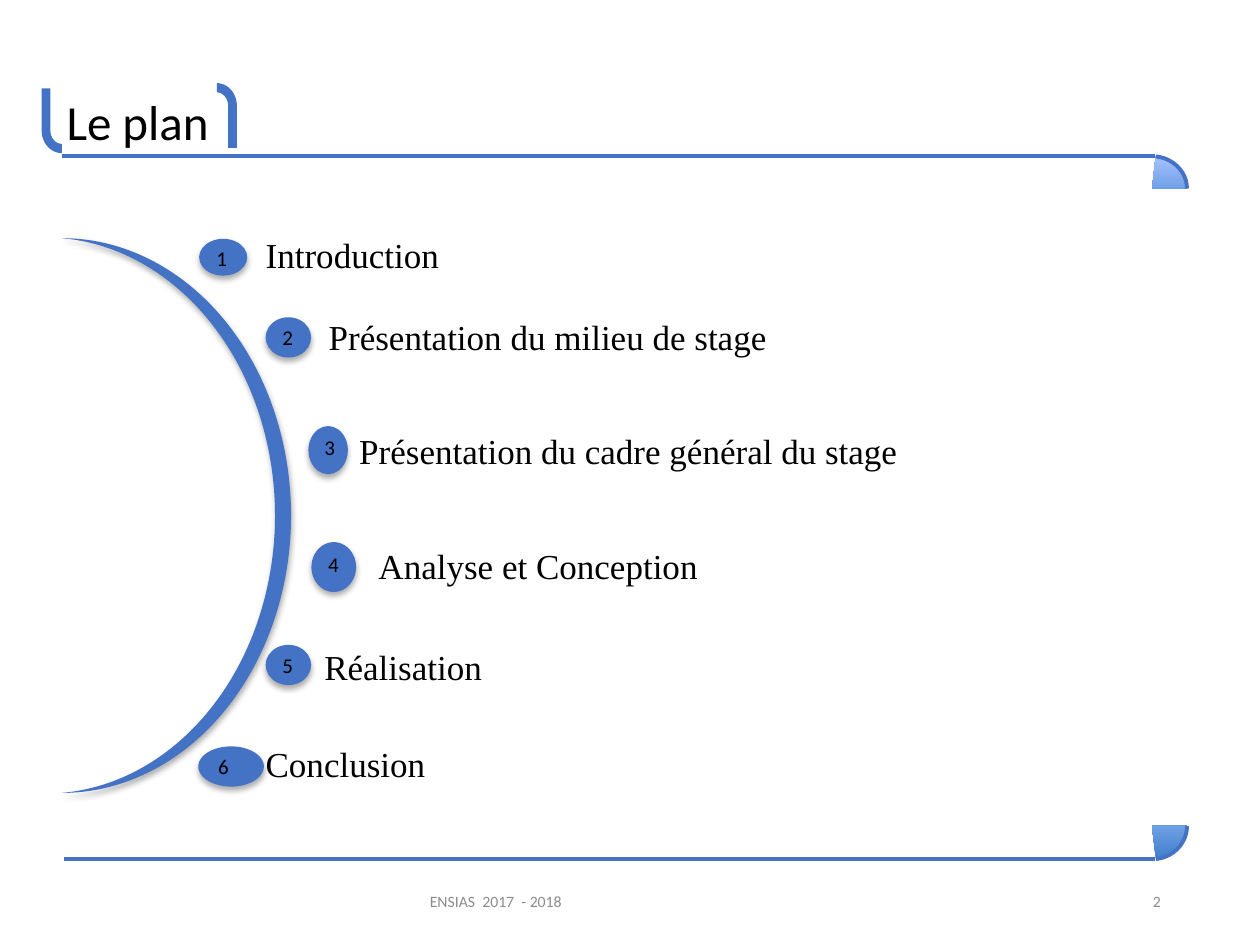
import math

from lxml import etree
from pptx import Presentation
from pptx.dml.color import RGBColor
from pptx.enum import shapes as kinds, text as styles
from pptx.oxml import ns
from pptx.util import Pt

COLORS = {"accent": "4472C4", "ink": "000000", "paper": "FFFFFF", "muted": "8C8C8C"}
ANCHOR = styles.MSO_ANCHOR
ALIGN = styles.PP_ALIGN

# label, (label left, top, width, height), (badge left, top, width, height)
CHAPTERS = [
    ("Introduction", (92, 0, 179, 36), (78.5, 9, 27.5, 21)),
    ("Présentation du milieu de stage", (128, 47, 315, 36), (116.5, 53.8, 26, 23)),
    ("Présentation du cadre général du stage", (145.5, 112, 399, 36), (141, 116, 22.5, 27.5)),
    ("Analyse et Conception", (156.5, 173.5, 243, 44.5), (142.7, 182.3, 25.5, 28.5)),
    ("Réalisation", (125.5, 235.5, 184, 36), (116.5, 241, 26, 23)),
    ("Conclusion", (92, 291, 258, 36), (78, 299, 37.5, 23)),
]


def color(name):
    return RGBColor.from_string(COLORS[name])


def write(holder, words, size, font, ink, margins, anchor=ANCHOR.MIDDLE, align=ALIGN.LEFT, wrap=True):
    frame = holder.text_frame
    frame.text = words
    frame.word_wrap = wrap
    frame.auto_size = styles.MSO_AUTO_SIZE.NONE
    frame.vertical_anchor = anchor
    frame.margin_left, frame.margin_top, frame.margin_right, frame.margin_bottom = map(Pt, margins)
    paragraph = frame.paragraphs[0]
    paragraph.alignment = align
    for run in paragraph.runs:
        run.font.size, run.font.name = Pt(size), font
        run.font.color.rgb = color(ink)


def paint(part, fill):
    part.fill.solid()
    part.fill.fore_color.rgb = color(fill)
    part.line.fill.background()
    part.shadow.inherit = False


def stroke(part):
    part.line.color.rgb = color("accent")
    part.line.width = Pt(2.25)


def add_part(slide, kind, box, fill):
    part = slide.shapes.add_shape(kind, *map(Pt, box))
    paint(part, fill)
    return part


def cast_shadow(part):
    effects = part._element.spPr.find(ns.qn("a:effectLst"))
    shadow = etree.SubElement(effects, ns.qn("a:outerShdw"), blurRad=str(Pt(3.5)),
                              dist=str(Pt(2.2)), dir="5400000", rotWithShape="0")
    tint = etree.SubElement(shadow, ns.qn("a:srgbClr"), val=COLORS["ink"])
    etree.SubElement(tint, ns.qn("a:alpha"), val="32000")


def add_bracket(slide, left, top, width, height, turned=False):
    def bend(radius_x, radius_y, degrees):
        return [(width - radius_x * math.cos(math.radians(d)),
                 height - 13 + radius_y * math.sin(math.radians(d))) for d in degrees]

    outline = [(0, 0), *bend(width, 13, range(0, 91, 6)),
               *bend(width - 5, 7.7, range(90, -1, -6)), (5, 0)]
    if turned:
        outline = [(width - x, height - y) for x, y in outline]
    points = [(Pt(left + x), Pt(top + y)) for x, y in outline]
    builder = slide.shapes.build_freeform(*points[0], scale=1.0)
    builder.add_line_segments(points[1:], close=True)
    paint(builder.convert_to_shape(), "accent")


def add_heading(slide, left, top, width, height):
    title = slide.shapes.title
    title.left, title.top, title.width, title.height = map(Pt, (left + 7, top + 1, 96.5, 41))
    write(title, "Le plan", 28, "Calibri", "ink", (7.2, 3.6, 7.2, 3.6), ANCHOR.TOP, wrap=False)
    add_bracket(slide, left, top + 3, 11.5, 37)
    add_bracket(slide, left + width - 11.5, top, 11.5, 37, turned=True)


def add_rule(slide, left, top, width, height, rule_y, angles):
    rule = slide.shapes.add_connector(kinds.MSO_CONNECTOR.STRAIGHT, Pt(left), Pt(rule_y),
                                      Pt(left + width - 18), Pt(rule_y))
    stroke(rule)
    etree.SubElement(rule._element.spPr, ns.qn("a:effectLst"))
    corner = slide.shapes.add_shape(kinds.MSO_SHAPE.ARC, Pt(left + width - 40), Pt(top),
                                    Pt(40), Pt(height))
    corner.adjustments[0], corner.adjustments[1] = angles
    stroke(corner)
    corner.shadow.inherit = False


def add_plan(slide, left, top):
    crescent = add_part(slide, kinds.MSO_SHAPE.MOON, (left, top + 8.6, 131, 317), "accent")
    crescent.rotation = 180
    crescent.adjustments[0] = 0.07
    cast_shadow(crescent)
    for number, (words, label_box, badge_box) in enumerate(CHAPTERS, 1):
        (x, y, *label_size), (badge_x, badge_y, *badge_size) = label_box, badge_box
        label = add_part(slide, kinds.MSO_SHAPE.RECTANGLE, (left + x, top + y, *label_size), "paper")
        write(label, words, 20, "Times New Roman", "ink", (24.5, 9.4, 18, 9.4))
        badge = add_part(slide, kinds.MSO_SHAPE.OVAL,
                         (left + badge_x, top + badge_y, *badge_size), "accent")
        cast_shadow(badge)
        write(badge, str(number), 12, "Calibri", "ink", (5.8, 1, 7.2, 2.9), ANCHOR.TOP)


def add_footer(slide, left, top, width, height):
    for words, x, part_width, align in [("ENSIAS  2017  - 2018", 0, 243, ALIGN.LEFT),
                                        ("2", width - 162, 162, ALIGN.RIGHT)]:
        note = slide.shapes.add_textbox(Pt(left + x), Pt(top), Pt(part_width), Pt(height))
        write(note, words, 9, "Calibri", "muted", (7.2, 3.6, 7.2, 3.6), align=align)


def main():
    deck = Presentation()
    deck.slide_width, deck.slide_height = Pt(720), Pt(540)
    slide = deck.slides.add_slide(deck.slide_layouts[5])
    add_heading(slide, 23.8, 47.5, 111.6, 40)
    add_rule(slide, 35.3, 89.3, 643, 37, 89.3, (165.97, 0))
    add_rule(slide, 36.7, 453, 641.6, 38, 491, (0, 50.03))
    add_plan(slide, 35.3, 127.5)
    add_footer(slide, 238.5, 500.5, 432, 28.8)
    deck.save("out.pptx")


if __name__ == "__main__":
    main()
